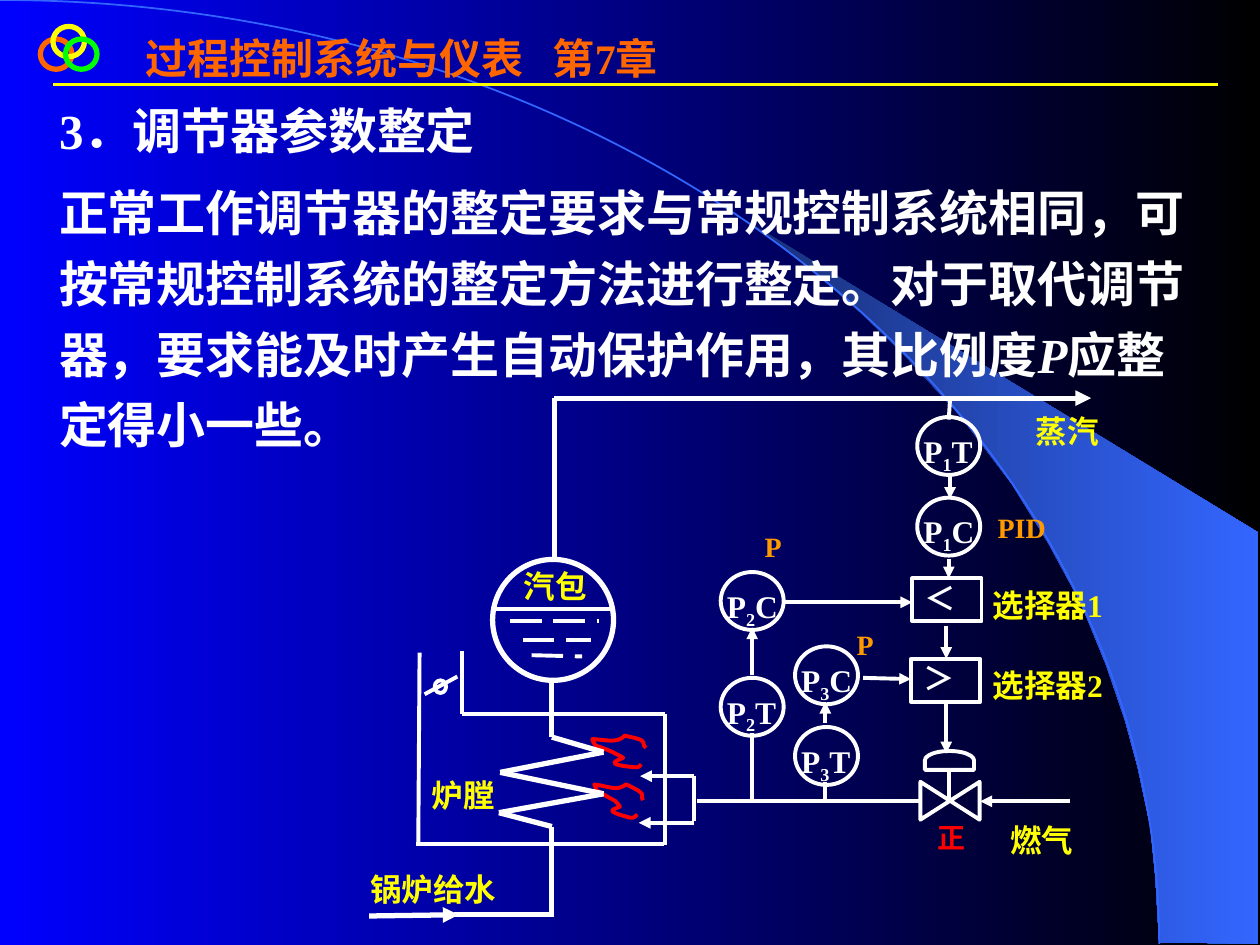
from lxml.etree import SubElement
from pptx import Presentation
from pptx.dml.color import RGBColor
from pptx.enum.shapes import MSO_CONNECTOR, MSO_SHAPE
from pptx.enum.text import MSO_ANCHOR, PP_ALIGN
from pptx.oxml.ns import qn
from pptx.util import Inches, Pt

WHITE, YELLOW, RED, ORANGE = "FFFFFF", "FFFF00", "FF0000", "FF9900"
LATIN, CJK = "Times New Roman", "Noto Sans CJK SC"

HEADER = "过程控制系统与仪表\t第7章"
BODY = [
    ["3．调节器参数整定"],
    ["正常工作调节器的整定要求与常规控制系统相同，可按常规控制系统的整定方法进行整定。"
     "对于取代调节器，要求能及时产生自动保护作用，其比例度", "P", "应整定得小一些。"],
]
RINGS = [(0.32, 0.31, "FF6600"), (0.42, 0.21, YELLOW), (0.52, 0.31, "00FF00")]

# text, left, top, width, size, colour
LABELS = [
    ("蒸汽", 8.12, 3.16, 0.88, 18, YELLOW), ("汽包", 4.06, 4.39, 0.88, 18, YELLOW),
    ("炉膛", 3.33, 6.05, 0.8, 18, YELLOW), ("锅炉给水", 2.84, 6.8, 1.45, 18, YELLOW),
    ("燃气", 7.92, 6.41, 0.81, 18, YELLOW), ("选择器1", 7.78, 4.54, 1.26, 18, YELLOW),
    ("选择器2", 7.78, 5.18, 1.39, 18, YELLOW), ("正", 7.34, 6.41, 0.59, 16, RED),
    ("P", 6.7, 4.88, 0.59, 16, ORANGE), ("P", 5.97, 4.1, 0.59, 16, ORANGE),
    ("PID", 7.82, 3.95, 0.59, 16, ORANGE),
]
# loop number, function, left, top
INSTRUMENTS = [("1", "T", 7.28, 3.31), ("1", "C", 7.28, 3.95), ("2", "C", 5.72, 4.54),
               ("2", "T", 5.72, 5.38), ("3", "C", 6.31, 5.13), ("3", "T", 6.31, 5.77)]
SELECTORS = [("＜", 7.24, 4.59), ("＞", 7.23, 5.23)]

PIPES = [
    [(4.4, 4.44), (4.4, 3.16)],
    [(4.38, 5.4), (4.38, 5.85), (4.79, 5.97), (3.97, 6.13), (4.79, 6.3),
     (3.96, 6.45), (4.38, 6.56), (4.38, 7.26)],
    [(4.4, 7.26), (3.6, 7.26)],
]
PIPE_ARROWS = [[(4.4, 3.16), (8.66, 3.16)], [(2.93, 7.27), (3.64, 7.26)]]
LINES = [
    [(3.33, 5.18), (3.32, 6.7)], [(3.3, 6.7), (5.27, 6.7)],
    [(3.67, 5.17), (3.67, 5.67), (5.28, 5.67), (5.28, 6.71)],
    [(3.37, 5.51), (3.63, 5.37)], [(3.91, 4.83), (4.84, 4.83)],
    [(5.53, 6.36), (7.32, 6.36)], [(5.51, 6.16), (5.51, 6.52)],
    [(5.97, 6.36), (5.97, 5.82)], [(6.55, 6.21), (6.55, 6.35)],
    [(7.54, 3.17), (7.53, 3.33)], [(7.53, 6.11), (7.53, 6.36)],
]
ARROWS = [
    [(5.51, 6.16), (5.08, 6.16)], [(5.51, 6.53), (5.07, 6.53)],
    [(8.49, 6.36), (7.78, 6.36)], [(7.54, 3.75), (7.54, 3.96)],
    [(7.53, 4.44), (7.53, 4.59)], [(7.51, 4.97), (7.51, 5.23)],
    [(7.51, 5.59), (7.51, 5.98)], [(5.97, 5.36), (5.97, 4.98)],
    [(6.55, 5.74), (6.55, 5.57)], [(6.21, 4.78), (7.24, 4.78)],
    [(6.85, 5.38), (7.23, 5.39)],
]
WATER = [[(4.05, 4.93), (4.75, 4.93)], [(4.15, 5.08), (4.69, 5.08)], [(4.22, 5.2), (4.62, 5.21)]]

# Each curve is a start point followed by control, control, end triples
ARC = [(0, 0), (5.08, 0), (9.2, 3.35), (9.2, 7.49)]
FLAMES = [
    (321.6, [(4.98, 6.14), (4.97, 6.14), (4.95, 6.15), (4.93, 6.13), (4.75, 5.96), (4.83, 5.99),
             (4.9, 6.01), (4.89, 5.98), (4.88, 5.96), (4.87, 5.94), (4.87, 5.93), (4.8, 5.81),
             (4.79, 5.8), (4.79, 5.77), (4.79, 5.76), (4.8, 5.74), (4.89, 5.82), (4.93, 5.89),
             (5.02, 5.88), (5.05, 5.92), (5.08, 5.95), (5.1, 5.99), (5.11, 6.02), (5.08, 6.03),
             (5.09, 6.06)]),
    (326, [(4.96, 6.52), (4.94, 6.52), (4.92, 6.53), (4.9, 6.51), (4.75, 6.34), (4.82, 6.38),
           (4.88, 6.39), (4.88, 6.37), (4.88, 6.35), (4.87, 6.32), (4.86, 6.31), (4.81, 6.2),
           (4.8, 6.18), (4.8, 6.16), (4.81, 6.14), (4.81, 6.13), (4.9, 6.21), (4.93, 6.28),
           (5.02, 6.27), (5.04, 6.31), (5.07, 6.35), (5.08, 6.39), (5.09, 6.41), (5.06, 6.42),
           (5.06, 6.45)]),
]
BEAM = [(9.2, 7.48), (9.99, 7.49), (9.99, 4.23), (5.89, 1.73), (6.24, 1.99), (6.53, 2.22),
        (6.85, 2.5), (7.16, 2.8), (7.62, 3.3), (8.03, 3.84), (8.32, 4.31), (8.58, 4.79),
        (8.78, 5.28), (8.93, 5.72), (9.03, 6.09), (9.13, 6.56), (9.17, 6.96)]

prs = Presentation()
prs.slide_width, prs.slide_height = Inches(10), Inches(7.5)
s = prs.slides.add_slide(prs.slide_layouts[6])


def rgb(value):
    return RGBColor.from_string(value)


def gradient(fill, start, end):
    fill.gradient()
    fill.gradient_angle = 0
    for stop, color, position in zip(fill.gradient_stops, (start, end), (0, 1)):
        stop.color.rgb, stop.position = rgb(color), position


def outline(sp, color=WHITE, weight=2.25):
    sp.shadow.inherit = False
    sp.fill.background()
    sp.line.color.rgb, sp.line.width = rgb(color), Pt(weight)
    return sp


def shape(kind, x, y, w, h, color=WHITE, weight=2.25, rotation=0):
    sp = s.shapes.add_shape(kind, Inches(x), Inches(y), Inches(w), Inches(h))
    sp.rotation = rotation
    return outline(sp, color, weight)


def freeform(points, close):
    points = [(Inches(x), Inches(y)) for x, y in points]
    builder = s.shapes.build_freeform(*points[0])
    builder.add_line_segments(points[1:], close=close)
    return builder.convert_to_shape()


def curve(points, color, weight):
    """Draw an open outline whose segments are cubic curves."""
    sp = freeform(points, False)
    outer = sp._element.find(".//" + qn("a:pathLst"))[0]
    segments = outer.findall(qn("a:lnTo"))
    for i in range(0, len(segments), 3):
        cubic = SubElement(outer, qn("a:cubicBezTo"))
        for segment in segments[i:i + 3]:
            cubic.append(segment[0])
            outer.remove(segment)
    return outline(sp, color, weight)


def polyline(points, color=WHITE, weight=2.25, dash=False, arrow=False):
    for a, b in zip(points, points[1:]):
        line = s.shapes.add_connector(MSO_CONNECTOR.STRAIGHT, *map(Inches, a + b))
        line.line.color.rgb, line.line.width = rgb(color), Pt(weight)
        ln = line.line._get_or_add_ln()
        if dash:
            SubElement(ln, qn("a:prstDash"), val="lgDash")
        if arrow:
            SubElement(ln, qn("a:tailEnd"), type="triangle")
        SubElement(line._element.spPr, qn("a:effectLst"))


def write(p, runs, size, color, font=LATIN, spacing=1.2):
    p.line_spacing = spacing
    for text in runs:
        r = p.add_run()
        r.text = text
        r.font.size, r.font.bold, r.font.name = Pt(size), True, font
        r.font.color.rgb = rgb(color)
        SubElement(r._r.get_or_add_rPr(), qn("a:ea"), typeface=CJK)
    return p.runs


def textbox(x, y, w, h):
    tf = s.shapes.add_textbox(*map(Inches, (x, y, w, h))).text_frame
    tf.word_wrap = True
    return tf


# Background and header
gradient(s.background.fill, "0000FF", "000000")
beam = outline(freeform(BEAM, True))
gradient(beam.fill, "182F76", "3366FF")
beam.line.fill.background()
curve(ARC, "3366FF", 1)
polyline([(0.42, 0.67), (9.67, 0.67)], YELLOW, 1.5)
for x, y, color in RINGS:
    shape(MSO_SHAPE.OVAL, x, y, 0.25, 0.24, color, 3)
p = textbox(1.06, 0.21, 4.49, 0.9).paragraphs[0]
tabs = SubElement(p._p.get_or_add_pPr(), qn("a:tabLst"))
SubElement(tabs, qn("a:tab"), pos=str(Inches(3.23)), algn="l")
write(p, [HEADER], 24, "FF6600", spacing=1.0)

# Body text
tf = textbox(0.37, 0.65, 9.35, 3)
tf.vertical_anchor = MSO_ANCHOR.MIDDLE
for i, runs in enumerate(BODY):
    p = tf.add_paragraph() if i else tf.paragraphs[0]
    if i:
        p.space_before = Pt(7)
    for r in write(p, runs, 28, WHITE):
        r.font.italic = r.text == "P"

# Boiler, valve and piping
shape(MSO_SHAPE.OVAL, 3.91, 4.44, 0.96, 0.96, weight=3)
shape(MSO_SHAPE.FLOWCHART_CONNECTOR, 3.45, 5.4, 0.09, 0.1)
shape(MSO_SHAPE.FLOWCHART_COLLATE, 7.39, 6.12, 0.3, 0.47, rotation=270)
shape(MSO_SHAPE.FLOWCHART_DELAY, 7.46, 5.84, 0.15, 0.39, rotation=270)
for rotation, points in FLAMES:
    curve(points, RED, 2.25).rotation = rotation
for group, style in [(PIPES, {"weight": 3}), (PIPE_ARROWS, {"weight": 3, "arrow": True}),
                     (LINES, {}), (ARROWS, {"arrow": True}), (WATER, {"dash": True})]:
    for points in group:
        polyline(points, **style)

# Instruments, selectors and labels
for number, function, x, y in INSTRUMENTS:
    shape(MSO_SHAPE.OVAL, x, y, 0.5, 0.46)
    p = textbox(x - 0.05, y, 0.64, 0.34).paragraphs[0]
    runs = write(p, ["P", number, function], 18, WHITE)
    runs[1].font._element.set("baseline", "-25000")
for sign, x, y in SELECTORS:
    tf = shape(MSO_SHAPE.RECTANGLE, x, y, 0.55, 0.34).text_frame
    tf.vertical_anchor = MSO_ANCHOR.TOP
    tf.paragraphs[0].alignment = PP_ALIGN.JUSTIFY
    write(tf.paragraphs[0], [sign], 18, WHITE, CJK, 0.85)
for text, x, y, w, size, color in LABELS:
    write(textbox(x, y, w, 0.44).paragraphs[0], [text], size, color)

prs.save("out.pptx")
